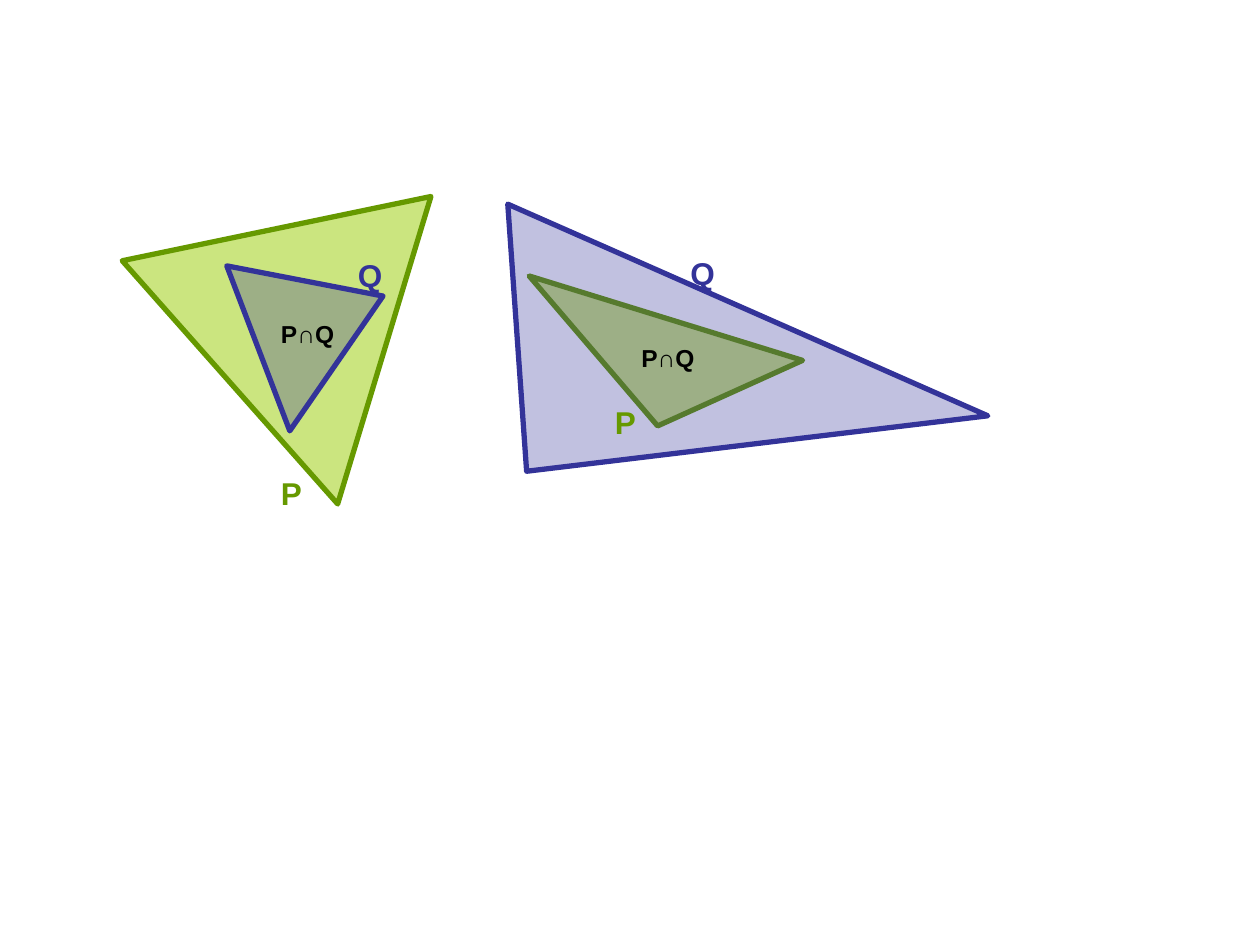
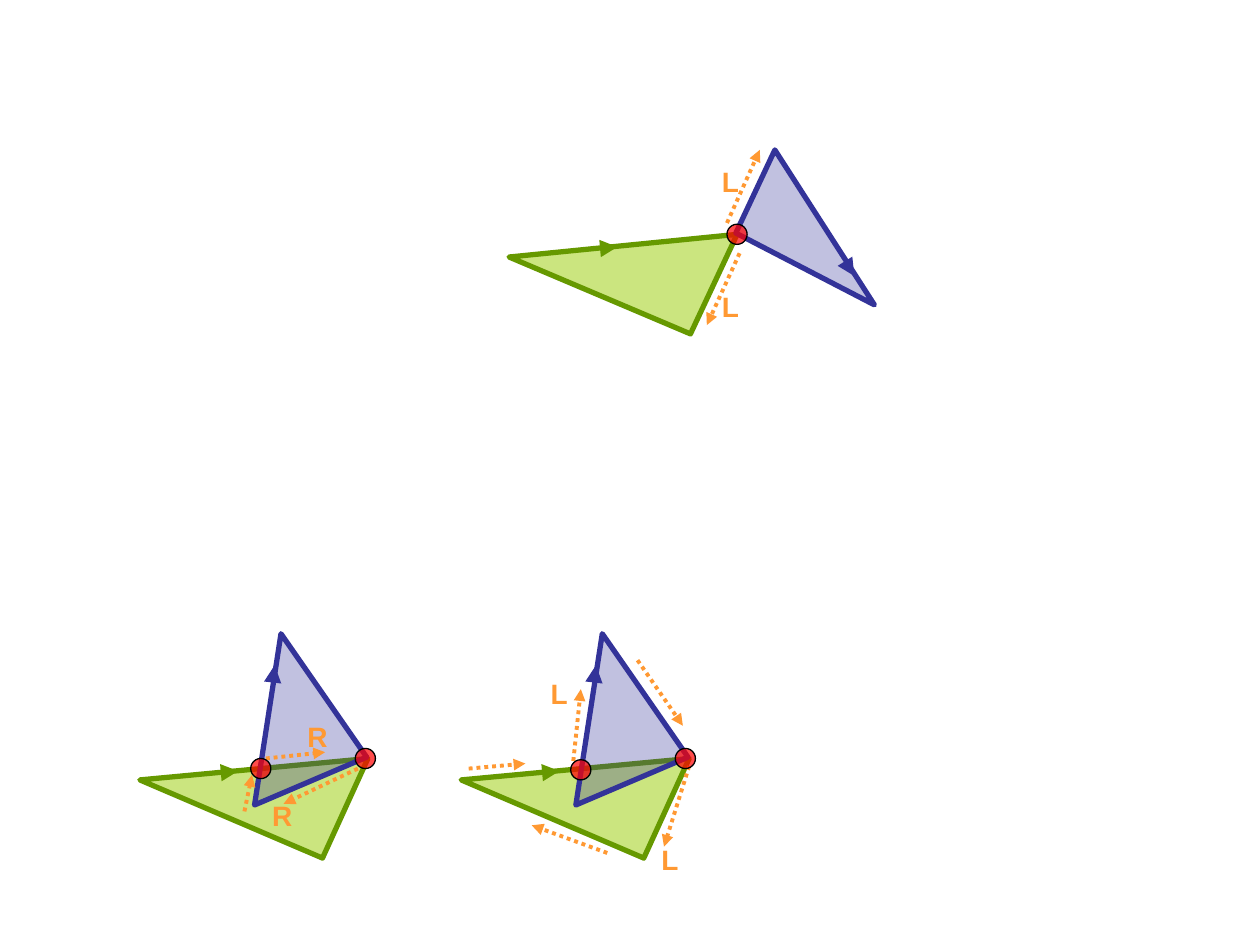
import pptx
import pptx.util
import pptx.dml.color
import pptx.enum.dml
import pptx.enum.shapes
import pptx.enum.text
from pptx.util import Inches
from lxml import etree

GREEN, BLUE, ORANGE = "669900", "333399", "FF9933"
LIME, RED, BLACK = "99CC00", "FF0000", "000000"
NS = "{http://schemas.openxmlformats.org/drawingml/2006/main}"


def tint(color, code, alpha=100):
    """Set a fill, line or font colour, with its opacity in percent."""
    color.rgb = pptx.dml.color.RGBColor.from_string(code)
    if alpha < 100:
        node = color._xFill.find(NS + "srgbClr")
        etree.SubElement(node, NS + "alpha", val=str(alpha * 1000))


def ink(form, fill, alpha, edge, width):
    """Fill and outline a closed shape."""
    form.shadow.inherit = False
    form.fill.solid()
    tint(form.fill.fore_color, fill, alpha)
    form.line.width = pptx.util.Pt(width)
    tint(form.line.color, edge)
    etree.SubElement(form.line._get_or_add_ln(), NS + "round")


# Slide 1: one triangle inside the other
scenes = [{
    "green": [[(3.42, 1.56), (2.68, 4), (0.97, 2.07)],
              [(6.37, 2.86), (5.22, 3.38), (4.2, 2.19)]],
    "blue": [[(3.04, 2.35), (2.3, 3.42), (1.8, 2.11)],
             [(7.84, 3.3), (4.18, 3.74), (4.03, 1.62)]],
    "arrows": [],
    "dots": [],
    "labels": [("P", 2.23, 3.76, 0.17, 0.3, 18, GREEN),
               ("Q", 2.84, 2.03, 0.2, 0.3, 18, BLUE),
               ("P∩Q", 2.23, 2.53, 0.44, 0.23, 14, BLACK),
               ("P", 4.88, 3.2, 0.17, 0.3, 18, GREEN),
               ("Q", 5.48, 2.02, 0.2, 0.3, 18, BLUE),
               ("P∩Q", 5.09, 2.72, 0.44, 0.23, 14, BLACK)],
}]

# Slide 2: the lower pair stands twice, the upper pair meets in one point
step = 2.55
pairs = [0, step]
wedge = [(2.92, 6.02), (2.56, 6.81), (1.11, 6.19)]
spike = [(2.91, 6.01), (2.02, 6.39), (2.23, 5.03)]
turns = [
    # left pair
    (2.84, 6.1, 2.25, 6.38), (2.11, 6.02, 2.58, 5.97), (1.94, 6.44, 2, 6.15),
    # right pair
    (5.47, 6.08, 5.27, 6.72), (4.55, 6.04, 4.61, 5.47), (4.82, 6.77, 4.22, 6.55),
    (3.72, 6.1, 4.17, 6.06), (5.06, 5.24, 5.42, 5.76),
    # upper pair
    (5.87, 2.01, 5.61, 2.58), (5.77, 1.77, 6.03, 1.19),
]
marks = [("R", 2.16, 6.34), ("R", 2.44, 5.71), ("L", 4.37, 5.37),
         ("L", 5.25, 6.69), ("L", 5.73, 1.31), ("L", 5.73, 2.3)]
scenes.append({
    "green": [[(x + dx, y) for x, y in wedge] for dx in pairs]
             + [[(5.85, 1.86), (5.48, 2.65), (4.04, 2.04)]],
    "blue": [[(x + dx, y) for x, y in spike] for dx in pairs]
            + [[(5.84, 1.85), (6.15, 1.19), (6.94, 2.42)]],
    "arrows": [((2.11 + dx, 5.88, 2.18 + dx, 5.28), BLUE, 1) for dx in pairs]
              + [((1.23 + dx, 6.18 + dy, 1.89 + dx, 6.12 + dy), GREEN, 1)
                 for dx, dy in [(0, 0), (step, 0), (3.01, -4.16)]]
              + [((6.2, 1.27, 6.78, 2.19), BLUE, 1)]
              + [(ends, ORANGE, 2.25) for ends in turns],
    "dots": [(2.82, 5.94), (5.36, 5.94), (1.99, 6.02), (4.53, 6.03), (5.77, 1.78)],
    "labels": [(text, x, y, 0.16 if text == "R" else 0.14, 0.27, 16, ORANGE)
               for text, x, y in marks],
})

deck = pptx.Presentation()
deck.slide_width, deck.slide_height = Inches(10), Inches(7.5)

for scene in scenes:
    shapes = deck.slides.add_slide(deck.slide_layouts[6]).shapes

    # Triangles, each pair with green below blue
    for pair in zip(scene["green"], scene["blue"]):
        looks = [(LIME, 50, GREEN), (BLUE, 30, BLUE)]
        for points, (fill, alpha, edge) in zip(pair, looks):
            first, *rest = [(Inches(x), Inches(y)) for x, y in points]
            pen = shapes.build_freeform(*first)
            pen.add_line_segments(rest, close=True)
            ink(pen.convert_to_shape(), fill, alpha, edge, 3)

    # Edge directions are thin, walking directions are dotted
    for ends, code, width in scene["arrows"]:
        arrow = shapes.add_connector(pptx.enum.shapes.MSO_CONNECTOR.STRAIGHT,
                                     *[Inches(v) for v in ends])
        arrow.line.width = pptx.util.Pt(width)
        tint(arrow.line.color, code)
        if code == ORANGE:
            arrow.line.dash_style = pptx.enum.dml.MSO_LINE.ROUND_DOT
        size = "med" if code == ORANGE else "lg"
        etree.SubElement(arrow.line._get_or_add_ln(), NS + "tailEnd",
                         type="triangle", w=size, len=size)
        etree.SubElement(arrow._element.spPr, NS + "effectLst")

    # Crossing points
    for x, y in scene["dots"]:
        dot = shapes.add_shape(pptx.enum.shapes.MSO_SHAPE.OVAL, Inches(x),
                               Inches(y), Inches(0.16), Inches(0.16))
        ink(dot, RED, 70, BLACK, 0.75)

    # Labels
    for text, x, y, wide, high, size, code in scene["labels"]:
        box = shapes.add_textbox(Inches(x), Inches(y), Inches(wide), Inches(high))
        frame = box.text_frame
        frame.margin_left = frame.margin_right = 0
        frame.margin_top = frame.margin_bottom = 0
        frame.word_wrap = False
        frame.auto_size = pptx.enum.text.MSO_AUTO_SIZE.SHAPE_TO_FIT_TEXT
        line = frame.paragraphs[0]
        line.text = text
        font = line.font
        font.name, font.size, font.bold = "Arial", pptx.util.Pt(size), True
        tint(font.color, code)

deck.save("out.pptx")
